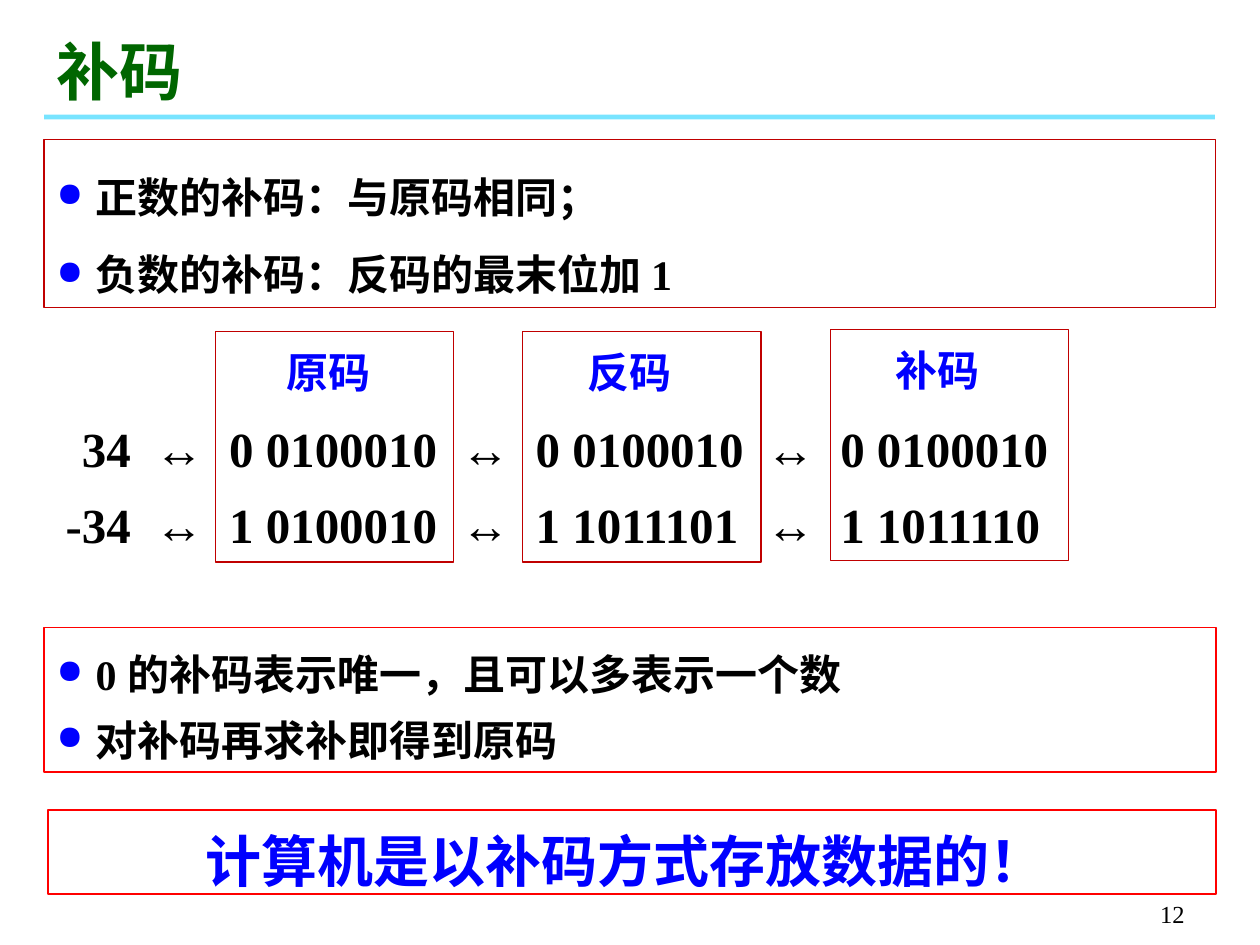
"""Build the slide on two's complement codes."""
from typing import NamedTuple, Optional

import lxml.etree
import pptx
import pptx.dml.color
import pptx.enum.shapes
import pptx.enum.text
import pptx.oxml.ns
import pptx.util

Cm = pptx.util.Cm
Pt = pptx.util.Pt
Align = pptx.enum.text.PP_ALIGN
Anchor = pptx.enum.text.MSO_ANCHOR
qn = pptx.oxml.ns.qn

BLACK, BLUE, GREEN = "000000", "0000FF", "006600"
RED, DARK_RED, CYAN = "FF0000", "C00000", "00CCFF"
FONT = "Times New Roman"
LEFT, WIDTH = 0.89, 23.62
CODE_STOPS = [("r", 1.5), ("l", 1.98), ("l", 3.48), ("l", 8.15),
              ("l", 9.66), ("l", 14.3), ("l", 15.8)]


class Area(NamedTuple):
    left: float
    top: float
    width: float
    height: float


class Style(NamedTuple):
    size: float
    color: str = BLACK
    bold: bool = True
    align: Optional[Align] = Align.LEFT
    spacing: float = 1.0
    before: float = 0
    bullet: bool = False
    stops: tuple = ()


class Panel(NamedTuple):
    area: Area
    border: str
    weight: float
    lines: list[str]
    style: Style


class CodeColumn(NamedTuple):
    heading: str
    frame_left: float
    heading_left: float
    top: float


PANELS = [
    Panel(Area(LEFT, 2.82, WIDTH, 3.38), DARK_RED, 0.75,
          ["正数的补码：与原码相同；", "负数的补码：反码的最末位加 1"],
          Style(24, spacing=1.5, before=1.2, bullet=True)),
    Panel(Area(LEFT, 12.65, WIDTH, 2.92), RED, 1,
          ["0 的补码表示唯一，且可以多表示一个数", "对补码再求补即得到原码"],
          Style(24, spacing=1.3, bullet=True)),
    Panel(Area(0.97, 16.33, 23.55, 1.7), RED, 1,
          ["计算机是以补码方式存放数据的！ "],
          Style(32, BLUE, align=Align.CENTER, spacing=1.15)),
]
COLUMNS = [
    CodeColumn("原码", 4.34, 5.03, 6.68),
    CodeColumn("反码", 10.54, 11.1, 6.68),
    CodeColumn("补码", 16.74, 17.3, 6.65),
]
CODE_ROWS = [
    ["34", "0 0100010", "0 0100010", "0 0100010"],
    ["-34", "1 0100010", "1 1011101", "1 1011110"],
]


def rgb(color: str) -> pptx.dml.color.RGBColor:
    """Turn a hex string into a colour."""
    return pptx.dml.color.RGBColor.from_string(color)


def add_bullet(para) -> None:
    """Give a paragraph a hanging blue dot."""
    props = para._p.get_or_add_pPr()
    indent = Cm(0.79)
    props.set("marL", str(indent))
    props.set("indent", str(-indent))
    color = lxml.etree.SubElement(props, qn("a:buClr"))
    lxml.etree.SubElement(color, qn("a:srgbClr"), val=BLUE)
    lxml.etree.SubElement(props, qn("a:buSzPct"), val="80000")
    lxml.etree.SubElement(props, qn("a:buChar"), char="●")


def add_stops(para, stops) -> None:
    """Set the tab stops of a paragraph."""
    tabs = lxml.etree.SubElement(para._p.get_or_add_pPr(), qn("a:tabLst"))
    for align, position in stops:
        lxml.etree.SubElement(tabs, qn("a:tab"), pos=str(Cm(position)), algn=align)


def write(shape, lines: list[str], style: Style, anchor=Anchor.TOP) -> None:
    """Fill a shape with one styled paragraph per line."""
    frame = shape.text_frame
    frame.word_wrap = True
    frame.vertical_anchor = anchor
    frame.text = "\n".join(lines)
    for number, para in enumerate(frame.paragraphs):
        para.alignment = style.align
        para.line_spacing = style.spacing
        para.space_before = Pt(style.before if number else 0)
        if style.bullet:
            add_bullet(para)
        if style.stops:
            add_stops(para, style.stops)
        para.font.name = FONT
        para.font.size = Pt(style.size)
        para.font.bold = style.bold
        para.font.color.rgb = rgb(style.color)


def add_box(slide, area: Area):
    """Add a plain rectangle without fill, line or shadow."""
    box = slide.shapes.add_shape(
        pptx.enum.shapes.MSO_SHAPE.RECTANGLE, *map(Cm, area))
    box.shadow.inherit = False
    box.fill.background()
    box.line.fill.background()
    return box


def add_frame(slide, area: Area, border: str, weight: float):
    """Add an outlined rectangle."""
    box = add_box(slide, area)
    box.line.color.rgb = rgb(border)
    box.line.width = Pt(weight)
    return box


def add_text(slide, area: Area, lines: list[str], style: Style,
             anchor=Anchor.TOP) -> None:
    """Add a text box."""
    write(slide.shapes.add_textbox(*map(Cm, area)), lines, style, anchor)


def add_title(slide) -> None:
    """Place the title and the rule under it."""
    rule = add_box(slide, Area(LEFT, 2.31, 23.6, 0.1))
    rule.fill.solid()
    rule.fill.fore_color.rgb = rgb(CYAN)
    color = rule._element.spPr.find(qn("a:solidFill"))[0]
    lxml.etree.SubElement(color, qn("a:alpha"), val="53000")
    title = slide.shapes.title
    title.left, title.top, title.width, title.height = map(
        Cm, (LEFT, 0.53, 18.21, 1.78))
    write(title, ["补码"], Style(36, GREEN), Anchor.BOTTOM)


def add_codes(slide) -> None:
    """Draw the framed code columns and the rows running through them."""
    for column in COLUMNS:
        add_frame(slide, Area(column.frame_left, column.top, 4.8, 4.65),
                  DARK_RED, 0.75)
        add_text(slide, Area(column.heading_left, column.top + 0.18, 3.2, 1.27),
                 [column.heading], Style(24, BLUE, align=Align.CENTER))
    rows = ["\t" + "\t↔\t".join(row) for row in CODE_ROWS]
    add_text(slide, Area(LEFT, 8.08, 22, 3.25), rows,
             Style(28, spacing=1.2, before=2.8, stops=tuple(CODE_STOPS)))


def main() -> None:
    """Build and save the deck."""
    deck = pptx.Presentation()
    deck.slide_width, deck.slide_height = Cm(25.4), Cm(19.05)
    slide = deck.slides.add_slide(deck.slide_layouts[5])
    add_title(slide)
    for panel in PANELS:
        box = add_frame(slide, panel.area, panel.border, panel.weight)
        write(box, panel.lines, panel.style)
    add_codes(slide)
    add_text(slide, Area(18.85, 17.58, 5.28, 1.27), ["12"],
             Style(14, bold=False, align=Align.RIGHT), Anchor.BOTTOM)
    deck.save("out.pptx")


if __name__ == "__main__":
    main()
